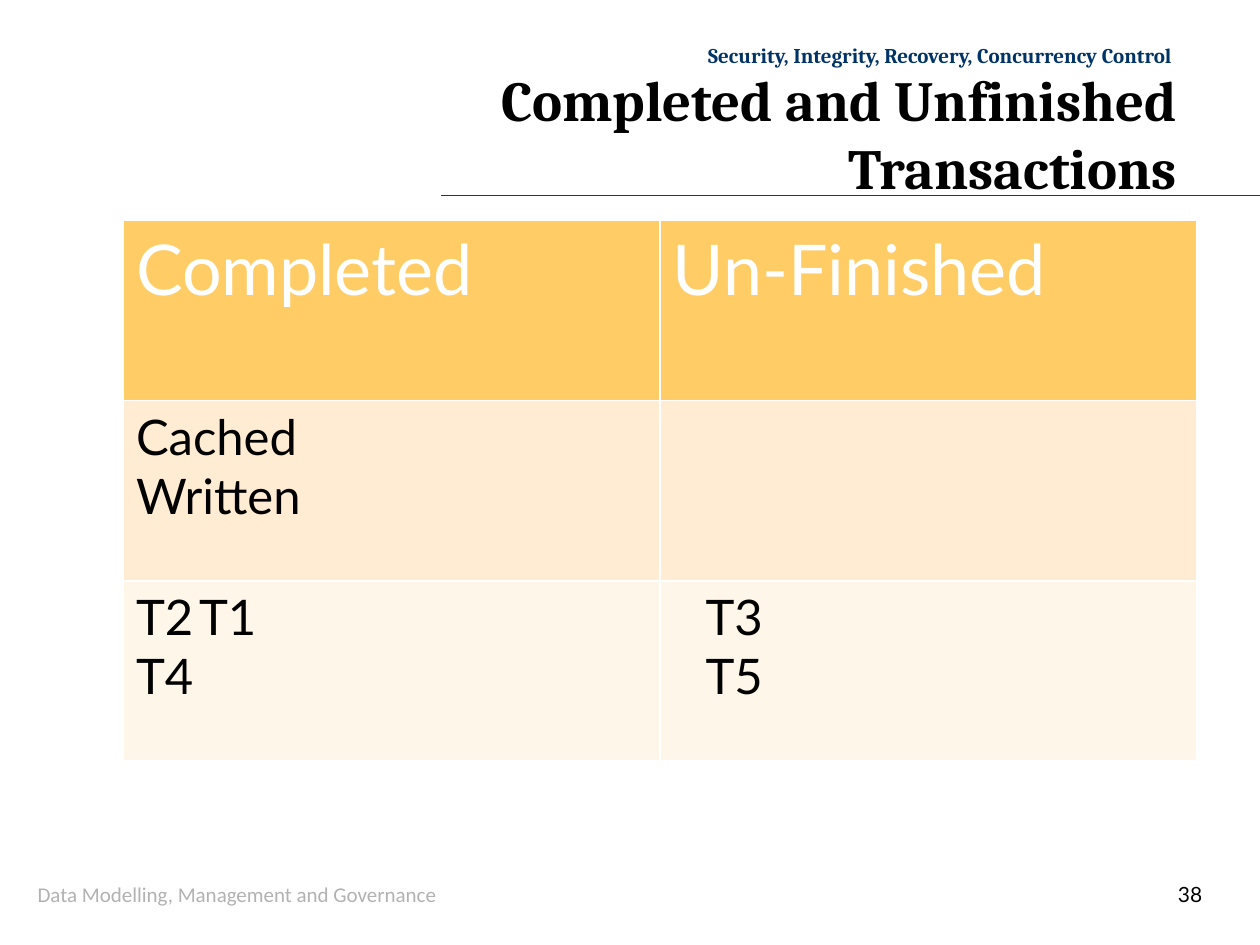
import pptx
import pptx.util
import pptx.dml.color
import pptx.enum.shapes
import pptx.enum.text
import pptx.oxml
import pptx.oxml.ns
from lxml import etree

Inches = pptx.util.Inches
Pt = pptx.util.Pt
RGBColor = pptx.dml.color.RGBColor
ALIGN = pptx.enum.text.PP_ALIGN
ANCHOR = pptx.enum.text.MSO_ANCHOR

BLACK = RGBColor(0x00, 0x00, 0x00)
WHITE = RGBColor(0xFF, 0xFF, 0xFF)
NAVY = RGBColor(0x00, 0x33, 0x66)
RED = RGBColor(0xA8, 0x00, 0x00)
GREY = RGBColor(0xB2, 0xB2, 0xB2)
AMBER = RGBColor(0xFF, 0xCC, 0x66)
PEACH = RGBColor(0xFF, 0xEC, 0xD3)
CREAM = RGBColor(0xFF, 0xF6, 0xEA)

TITLE = "Completed and Unfinished Transactions"
TOPIC = "Security, Integrity, Recovery, Concurrency Control"
FOOTER = "Data Modelling, Management and Governance"
PAGE = "38"

# Cell texts, fill, font size, font colour
ROWS = [
    (("Completed", "Un-Finished"), AMBER, 40, WHITE),
    (("Cached\nWritten", ""), PEACH, 28, BLACK),
    (("T2\tT1\nT4", "T3\nT5"), CREAM, 28, BLACK),
]
TABLE_LEFT, TABLE_TOP = 0.98, 1.75
COLUMN_WIDTH, ROW_HEIGHT = 4.26, 1.43
TAB_STOP = 3.02
UNFINISHED_INDENT = 0.26


def format_text(text_frame, font, size, color, bold=False, align=ALIGN.LEFT):
    """Apply one character format and alignment to all the text."""
    for paragraph in text_frame.paragraphs:
        paragraph.alignment = align
        for run in paragraph.runs:
            run.font.name = font
            run.font.size = Pt(size)
            run.font.bold = bold
            run.font.color.rgb = color


def add_text(slide, box, text, anchor, wrap, *style):
    """Add a formatted text box."""
    frame = slide.shapes.add_textbox(*map(Inches, box)).text_frame
    frame.word_wrap = wrap
    frame.vertical_anchor = anchor
    frame.text = text
    format_text(frame, *style)


def add_title(slide):
    """Place and format the title placeholder."""
    title = slide.shapes.title
    title.left, title.top, title.width, title.height = map(
        Inches, (1.77, 0.68, 7.67, 0.75))
    title.text_frame.text = TITLE
    title.text_frame.word_wrap = True
    title.text_frame.auto_size = pptx.enum.text.MSO_AUTO_SIZE.NONE
    title.text_frame.vertical_anchor = ANCHOR.MIDDLE
    format_text(title.text_frame, "Cambria", 32.4, BLACK, True, ALIGN.RIGHT)


def add_rule(slide):
    """Draw the thin rule under the title."""
    rule = slide.shapes.add_connector(
        pptx.enum.shapes.MSO_CONNECTOR.STRAIGHT,
        Inches(3.5), Inches(1.55), Inches(10), Inches(1.55))
    rule.line.color.rgb = RED
    rule.line.width = Pt(0.75)
    etree.SubElement(rule._element.spPr, pptx.oxml.ns.qn("a:effectLst"))


def set_borders(cell):
    """Give a cell white borders on all sides, ahead of its fill."""
    properties = cell._tc.get_or_add_tcPr()
    for position, side in enumerate(("lnL", "lnR", "lnT", "lnB")):
        properties.insert(position, pptx.oxml.parse_xml(
            f'<a:{side} {pptx.oxml.ns.nsdecls("a")} w="12700"><a:solidFill>'
            f'<a:srgbClr val="{WHITE}"/></a:solidFill></a:{side}>'))


def set_paragraph_layout(paragraph, indent):
    """Set the left indent and the tab stop of a paragraph."""
    properties = paragraph._p.get_or_add_pPr()
    properties.set("marL", str(Inches(indent)))
    properties.set("indent", "0")
    stops = etree.SubElement(properties, pptx.oxml.ns.qn("a:tabLst"))
    etree.SubElement(stops, pptx.oxml.ns.qn("a:tab"),
                     pos=str(Inches(TAB_STOP)), algn="l")


def add_transactions(slide):
    """Build the table of completed and unfinished transactions."""
    columns = len(ROWS[0][0])
    table = slide.shapes.add_table(
        len(ROWS), columns, Inches(TABLE_LEFT), Inches(TABLE_TOP),
        Inches(COLUMN_WIDTH * columns),
        Inches(ROW_HEIGHT * len(ROWS))).table
    for row, (texts, fill, size, color) in enumerate(ROWS):
        for column, text in enumerate(texts):
            cell = table.cell(row, column)
            cell.fill.solid()
            cell.fill.fore_color.rgb = fill
            set_borders(cell)
            cell.text_frame.text = text
            format_text(cell.text_frame, "Lato", size, color)
            indent = UNFINISHED_INDENT if row and column else 0
            for paragraph in cell.text_frame.paragraphs:
                set_paragraph_layout(paragraph, indent)


def main():
    """Build and save the slide."""
    presentation = pptx.Presentation()
    presentation.slide_width = Inches(10)
    presentation.slide_height = Inches(7.5)
    slide = presentation.slides.add_slide(presentation.slide_layouts[5])
    add_rule(slide)
    add_text(slide, (5.4, 0.29, 4.0, 0.3), TOPIC, ANCHOR.TOP, False,
             "Cambria", 12, NAVY, True, ALIGN.RIGHT)
    add_text(slide, (9.25, 6.95, 0.47, 0.3), PAGE, ANCHOR.TOP, True,
             "Lato", 12, BLACK)
    add_title(slide)
    add_text(slide, (0.2, 6.9, 4.41, 0.4), FOOTER, ANCHOR.MIDDLE, True,
             "Calibri", 12, GREY)
    add_transactions(slide)
    presentation.save("out.pptx")


main()
